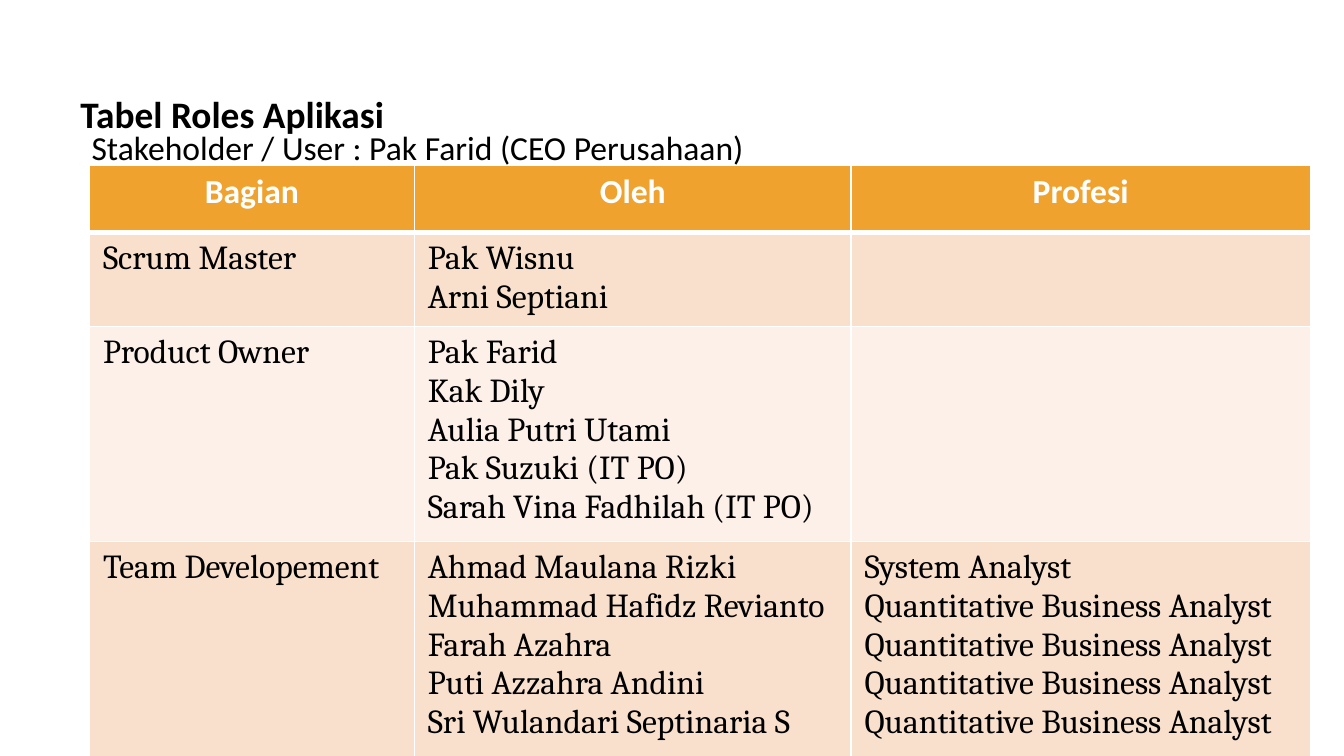
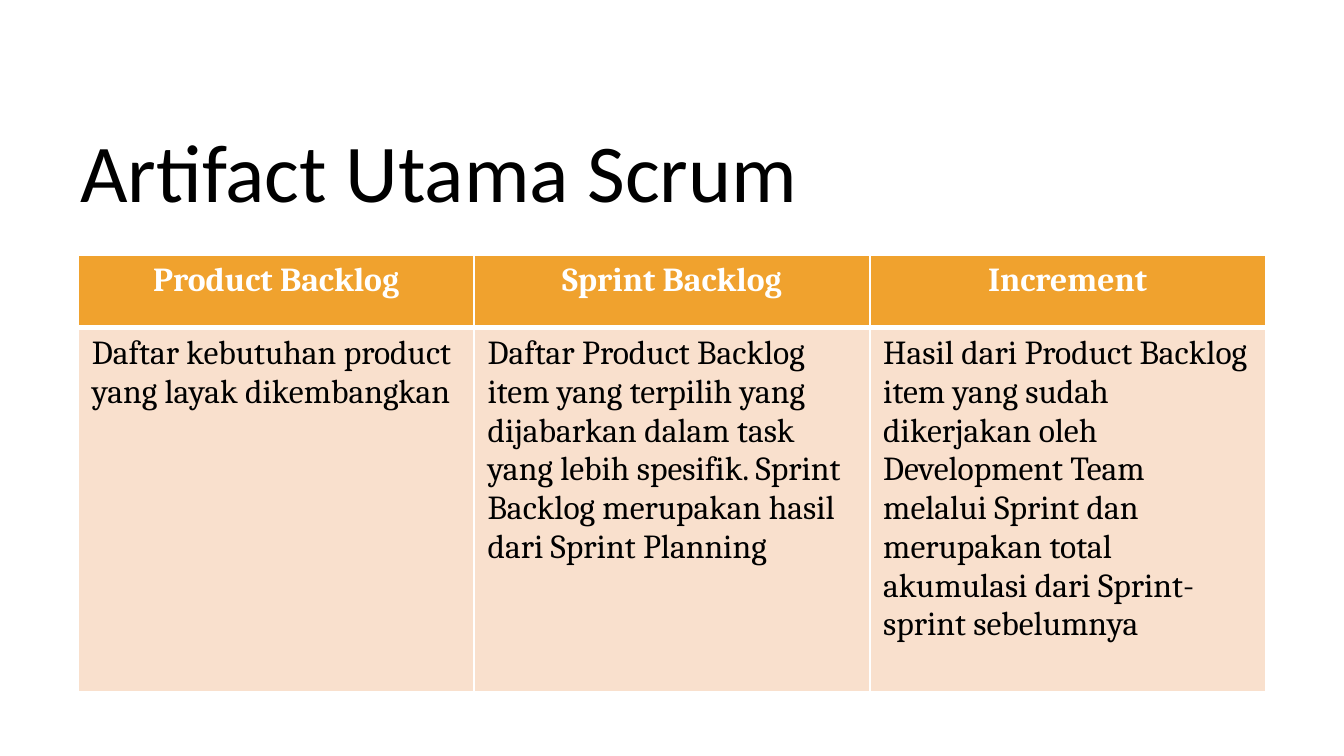
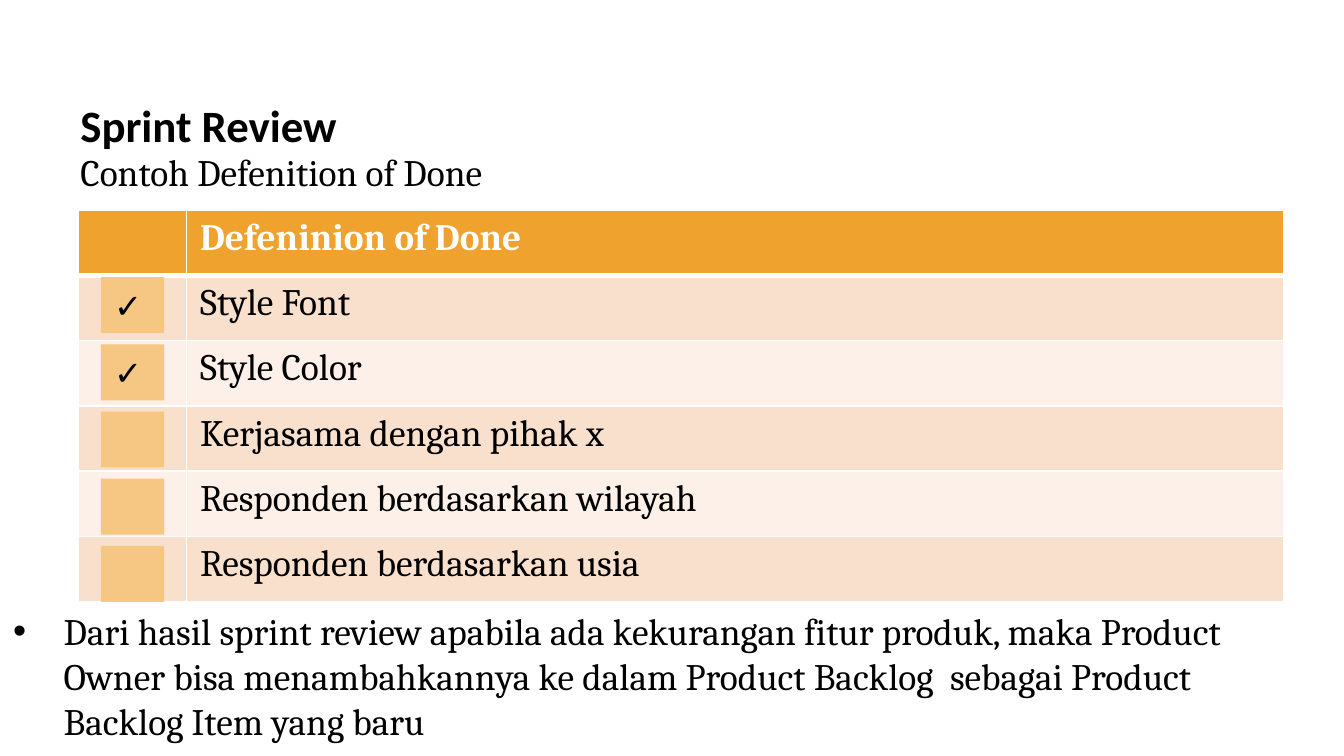
"""Builds three Scrum slides: team roles, main artifacts and sprint review."""
from lxml import etree
from pptx import Presentation
from pptx.dml.color import RGBColor
from pptx.enum.shapes import MSO_SHAPE
from pptx.enum.text import MSO_ANCHOR, PP_ALIGN
from pptx.oxml.ns import qn
from pptx.util import Pt

RECT = MSO_SHAPE.RECTANGLE
TOP, MIDDLE = MSO_ANCHOR.TOP, MSO_ANCHOR.MIDDLE
LEFT, CENTER = PP_ALIGN.LEFT, PP_ALIGN.CENTER

COLORS = {"text": "000000", "white": "FFFFFF", "header": "F0A22E",
          "odd": "F9E0CD", "even": "FCF0E8", "box": "F6C782"}
SANS, SERIF = "Calibri", "Cambria"

ANALYST = "Quantitative Business Analyst"
ROLES = [
    ["Bagian", "Oleh", "Profesi"],
    ["Scrum Master", "Pak Wisnu\nArni Septiani", ""],
    ["Product Owner",
     "Pak Farid\nKak Dily\nAulia Putri Utami\nPak Suzuki (IT PO)\n"
     "Sarah Vina Fadhilah (IT PO)", ""],
    ["Team Developement",
     "Ahmad Maulana Rizki\nMuhammad Hafidz Revianto\nFarah Azahra\n"
     "Puti Azzahra Andini\nSri Wulandari Septinaria S",
     "\n".join(["System Analyst"] + [ANALYST] * 4)],
]
ARTIFACTS = [
    ["Product Backlog", "Sprint Backlog", "Increment"],
    ["Daftar kebutuhan product yang layak dikembangkan",
     "Daftar Product Backlog item yang terpilih yang dijabarkan dalam task "
     "yang lebih spesifik. Sprint Backlog merupakan hasil dari Sprint Planning",
     "Hasil dari Product Backlog item yang sudah dikerjakan oleh Development "
     "Team melalui Sprint dan merupakan total akumulasi dari Sprint-sprint "
     "sebelumnya"],
]
CHECKLIST = [
    ("Style Font", True),
    ("Style Color", True),
    ("Kerjasama dengan pihak x", False),
    ("Responden berdasarkan wilayah", False),
    ("Responden berdasarkan usia", False),
]
REVIEW_NOTE = ("Dari hasil sprint review apabila ada kekurangan fitur produk, "
               "maka Product Owner bisa menambahkannya ke dalam Product Backlog  "
               "sebagai Product Backlog Item yang baru")


def rgb(name):
    return RGBColor.from_string(COLORS[name])


def add_run(p, text, size, font, bold=False, color="text"):
    r = p.add_run()
    r.text = text
    r.font.size = Pt(size)
    r.font.name = font
    r.font.bold = bold
    r.font.color.rgb = rgb(color)


def add_text(s, box, text, size, font, bold=False, anchor=MIDDLE, before=0):
    tf = s.shapes.add_textbox(*map(Pt, box)).text_frame
    tf.word_wrap = True
    tf.vertical_anchor = anchor
    p = tf.paragraphs[0]
    p.space_before = Pt(before)
    add_run(p, text, size, font, bold)
    return p


def add_bullet(p, indent):
    pPr = p._p.get_or_add_pPr()
    pPr.set("marL", str(Pt(indent)))
    pPr.set("indent", str(-Pt(indent)))
    etree.SubElement(pPr, qn("a:buFont")).set("typeface", "Arial")
    etree.SubElement(pPr, qn("a:buChar")).set("char", "•")


def set_borders(cell, widths):
    tcPr = cell._tc.get_or_add_tcPr()
    for i, (side, width) in enumerate(zip("LRTB", widths)):
        ln = etree.Element(qn(f"a:ln{side}"), w=str(Pt(width)))
        fill = etree.SubElement(ln, qn("a:solidFill"))
        etree.SubElement(fill, qn("a:srgbClr")).set("val", COLORS["white"])
        tcPr.insert(i, ln)


def add_table(s, box, cols, heights, rows, size, head_font=SERIF, head_align=CENTER):
    frame = s.shapes.add_table(len(rows), len(cols), *map(Pt, box))
    table = frame.table
    for column, width in zip(table.columns, cols):
        column.width = Pt(width)
    for i, (texts, height) in enumerate(zip(rows, heights)):
        head = i == 0
        table.rows[i].height = Pt(height)
        for j, text in enumerate(texts):
            cell = table.cell(i, j)
            cell.fill.solid()
            cell.fill.fore_color.rgb = rgb("header" if head else "odd" if i % 2 else "even")
            set_borders(cell, (1, 1, 3 if i == 1 else 1, 3 if head else 1))
            for k, line in enumerate(text.split("\n") if text else []):
                p = cell.text_frame.add_paragraph() if k else cell.text_frame.paragraphs[0]
                p.alignment = head_align if head else LEFT
                add_run(p, line, size, head_font if head else SERIF, head,
                        "white" if head else "text")
    frame.height = Pt(box[3])


def add_checkbox(s, box, checked):
    sp = s.shapes.add_shape(RECT, *map(Pt, box))
    sp.shadow.inherit = False
    sp.fill.solid()
    sp.fill.fore_color.rgb = rgb("box")
    sp.line.fill.background()
    if checked:
        sp.text_frame.vertical_anchor = MIDDLE
        p = sp.text_frame.paragraphs[0]
        p.alignment = LEFT
        add_run(p, "✓", 18, SANS)


def roles_slide(s):
    add_text(s, (36, 45, 612, 31.5), "Tabel Roles Aplikasi", 20, SANS, True)
    add_table(s, (48, 88.5, 654, 316.5), (174, 234, 246), (36, 45, 54, 69),
              ROLES, 18, SANS)
    add_text(s, (42, 63, 612, 31.5),
             "Stakeholder / User : Pak Farid (CEO Perusahaan)", 18, SANS)


def artifacts_slide(s):
    add_text(s, (36, 57, 648, 67.5), "Artifact Utama Scrum", 44, SANS)
    add_table(s, (42, 136.5, 636, 234), [212] * 3, (39, 195), ARTIFACTS, 18)


def review_slide(s):
    add_text(s, (36, 33, 648, 67.5), "Sprint Review", 24, SANS, True)
    add_text(s, (36, 76.5, 282, 36), "Contoh Defenition of Done", 20, SERIF,
             anchor=TOP, before=4)
    rows = [["", "Defeninion of Done"]] + [["", item] for item, _ in CHECKLIST]
    add_table(s, (42, 112.5, 646, 210), (58, 588), [35] * len(rows), rows, 20,
              head_align=LEFT)
    for i, (_, checked) in enumerate(CHECKLIST):
        add_checkbox(s, (54, 148.5 + 36 * i, 34, 30), checked)
    p = add_text(s, (0, 322.5, 708, 76.5), REVIEW_NOTE, 20, SERIF, anchor=TOP, before=4)
    add_bullet(p, 27)


def main():
    prs = Presentation()
    prs.slide_width, prs.slide_height = Pt(720), Pt(405)
    for build in (roles_slide, artifacts_slide, review_slide):
        build(prs.slides.add_slide(prs.slide_layouts[6]))
    prs.save("out.pptx")


if __name__ == "__main__":
    main()
